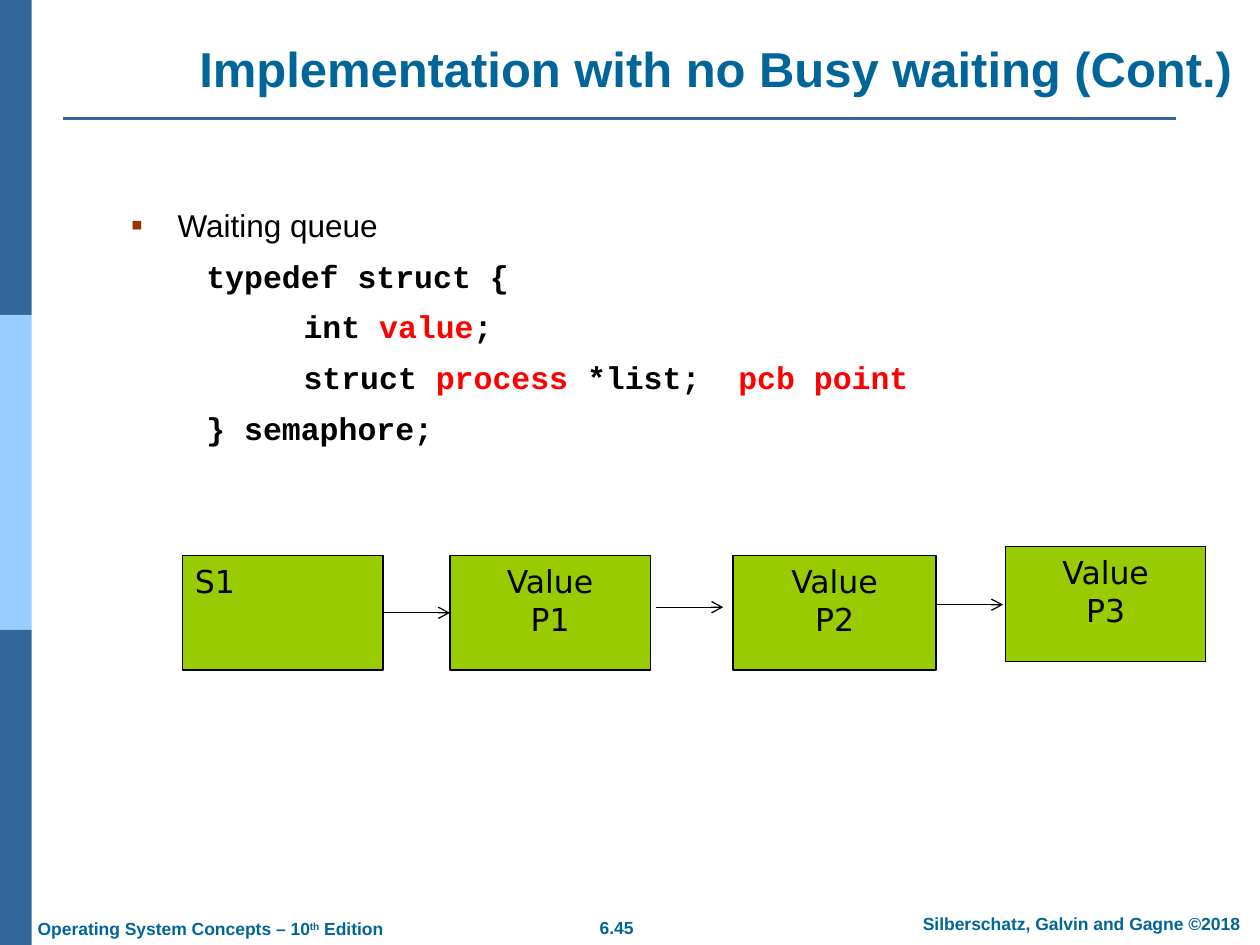
from dataclasses import dataclass

from lxml import etree
from pptx import Presentation
from pptx import util as u
from pptx.dml.color import RGBColor
from pptx.enum import shapes, text
from pptx.oxml import ns


@dataclass(frozen=True)
class Theme:
    heading: str = "006699"
    bar: str = "336699"
    bar_light: str = "99CCFF"
    bullet: str = "993300"
    ink: str = "000000"
    accent: str = "FF0000"
    node: str = "99CC00"
    title_size: int = 28
    body_size: int = 18
    footer_size: int = 10
    sans: str = "Arial"
    mono: str = "Courier New"
    node_font: str = "DejaVu Sans"


theme = Theme()


def add_span(para, words, font, size, color, bold=False):
    span = para.add_run()
    span.text = words
    span.font.name = font
    span.font.size = u.Pt(size)
    span.font.bold = bold
    span.font.color.rgb = RGBColor.from_string(color)
    return span


def style_line(line, color, width):
    line.line.color.rgb = RGBColor.from_string(color)
    line.line.width = u.Pt(width)
    etree.SubElement(line._element.spPr, ns.qn("a:effectLst"))


deck = Presentation()
deck.slide_width, deck.slide_height = u.Cm(25.4), u.Cm(19.05)
page = deck.slides.add_slide(deck.slide_layouts[5])

# Side bar and title rule
for index, color in enumerate([theme.bar, theme.bar_light, theme.bar]):
    band = page.shapes.add_shape(shapes.MSO_SHAPE.RECTANGLE, 0, u.Cm(6.35 * index),
                                 u.Cm(0.64), u.Cm(6.35))
    band.shadow.inherit = False
    band.fill.solid()
    band.fill.fore_color.rgb = RGBColor.from_string(color)
    band.line.fill.background()
rule = page.shapes.add_connector(shapes.MSO_CONNECTOR.STRAIGHT, u.Cm(1.27), u.Cm(2.39),
                                 u.Cm(23.7), u.Cm(2.39))
style_line(rule, theme.bar, 1.5)

# Title
title = page.shapes.title
title.left, title.top, title.width, title.height = u.Cm(2.24), u.Cm(0.38), u.Cm(24.38), u.Cm(1.7)
title.text_frame.vertical_anchor = text.MSO_ANCHOR.BOTTOM
title_para = title.text_frame.paragraphs[0]
title_para.alignment = text.PP_ALIGN.CENTER
add_span(title_para, "Implementation with no Busy waiting (Cont.)",
         theme.sans, theme.title_size, theme.heading, True)

# Footer
footers = [
    (0.51, 18.39, 7.59, text.PP_ALIGN.LEFT, ["Operating System Concepts – 10", "th", " Edition"]),
    (11.81, 18.36, 1.24, text.PP_ALIGN.CENTER, ["6.45"]),
    (18.03, 18.29, 7.54, text.PP_ALIGN.CENTER, ["Silberschatz, Galvin and Gagne ©2018"]),
]
for left, top, width, alignment, pieces in footers:
    box = page.shapes.add_textbox(u.Cm(left), u.Cm(top), u.Cm(width), u.Cm(0.69))
    box.text_frame.word_wrap = True
    para = box.text_frame.paragraphs[0]
    para.alignment = alignment
    for piece in pieces:
        span = add_span(para, piece, theme.sans, theme.footer_size, theme.heading, True)
        if piece == "th":
            span.font._element.set("baseline", "30000")

# Bullet and code
body = page.shapes.add_textbox(u.Cm(2.39), u.Cm(4.02), u.Cm(21.06), u.Cm(5.2))
body.text_frame.word_wrap = True
bullet_para = body.text_frame.paragraphs[0]
add_span(bullet_para, "Waiting queue", theme.sans, theme.body_size, theme.ink)
bullet = bullet_para._p.get_or_add_pPr()
bullet.set("marL", str(u.Cm(0.94)))
bullet.set("indent", str(-u.Cm(0.94)))
bullet_color = etree.SubElement(bullet, ns.qn("a:buClr"))
etree.SubElement(bullet_color, ns.qn("a:srgbClr"), val=theme.bullet)
etree.SubElement(bullet, ns.qn("a:buSzPct"), val="110000")
etree.SubElement(bullet, ns.qn("a:buFont"), typeface=theme.sans)
etree.SubElement(bullet, ns.qn("a:buChar"), char="▪")

code_lines = [
    (1.52, [("typedef struct {", theme.ink)]),
    (3.48, [("int ", theme.ink), ("value", theme.accent), (";", theme.ink)]),
    (3.48, [("struct ", theme.ink), ("process", theme.accent), (" *list;  ", theme.ink),
            ("pcb point", theme.accent)]),
    (1.52, [("} semaphore;", theme.ink)]),
]
for indent, pieces in code_lines:
    para = body.text_frame.add_paragraph()
    para.space_before = u.Pt(7.5)
    para._p.get_or_add_pPr().set("marL", str(u.Cm(indent)))
    for piece, color in pieces:
        add_span(para, piece, theme.mono, theme.body_size, color, True)

# Waiting queue nodes
nodes = []
for left, top, width, alignment, lines in [
    (3.68, 11.2, 4.04, text.PP_ALIGN.LEFT, ["S1"]),
    (9.07, 11.2, 4.04, text.PP_ALIGN.CENTER, ["Value", "P1"]),
    (14.78, 11.2, 4.09, text.PP_ALIGN.CENTER, ["Value", "P2"]),
    (20.27, 11.02, 4.04, text.PP_ALIGN.CENTER, ["Value", "P3"]),
]:
    node = page.shapes.add_shape(shapes.MSO_SHAPE.RECTANGLE, u.Cm(left), u.Cm(top),
                                 u.Cm(width), u.Cm(2.31))
    node.shadow.inherit = False
    node.fill.solid()
    node.fill.fore_color.rgb = RGBColor.from_string(theme.node)
    node.line.color.rgb = RGBColor.from_string(theme.ink)
    node.line.width = u.Pt(0.75)
    node.text_frame.vertical_anchor = text.MSO_ANCHOR.TOP
    for index, line in enumerate(lines):
        para = node.text_frame.add_paragraph() if index else node.text_frame.paragraphs[0]
        para.alignment = alignment
        add_span(para, line, theme.node_font, theme.body_size, theme.ink)
    nodes.append(node)

# Arrows between nodes
arrows = []
for start, end, height in [(7.72, 9.07, 12.36), (13.23, 14.58, 12.24), (18.87, 20.22, 12.19)]:
    arrow = page.shapes.add_connector(shapes.MSO_CONNECTOR.STRAIGHT, u.Cm(start), u.Cm(height),
                                      u.Cm(end), u.Cm(height))
    style_line(arrow, theme.ink, 0.75)
    etree.SubElement(arrow.line._get_or_add_ln(), ns.qn("a:tailEnd"), type="arrow")
    arrows.append(arrow)
arrows[0].begin_connect(nodes[0], 3)
arrows[0].end_connect(nodes[1], 1)

deck.save("out.pptx")
